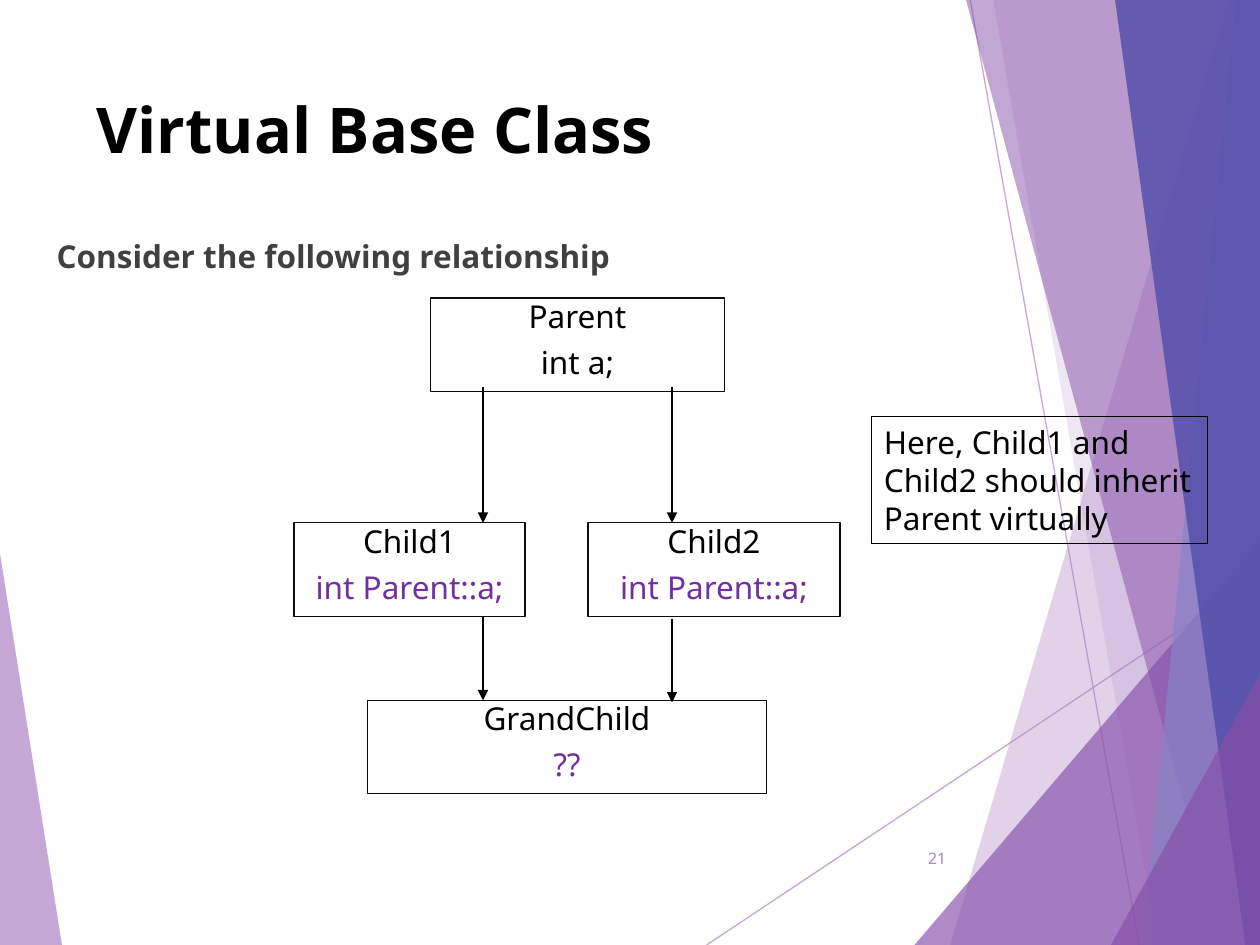
import dataclasses

import lxml.etree
import pptx
import pptx.dml.color
import pptx.enum.shapes
import pptx.enum.text
import pptx.oxml
import pptx.oxml.ns
import pptx.util

CELL = pptx.util.Inches(1) / 12
FONT = "Noto Sans"
COLORS = {
    "lilac": "AD84C6", "purple": "874EA9", "periwinkle": "8784C7", "indigo": "524EAB",
    "black": "000000", "outline": "0D0D0D", "body": "404040", "inherited": "7030A0",
}
ALIGN = pptx.enum.text.PP_ALIGN
ANCHOR = pptx.enum.text.MSO_ANCHOR

FACETS = [
    ("lilac", 70, [(0, 52.7), (5.9, 90), (0, 90)]),
    ("lilac", 36, [(117, 0), (90.5, 90), (120, 90), (120, 0)]),
    ("lilac", 20, [(94.6, 0), (110.3, 90), (120, 90), (120, 0)]),
    ("purple", 66, [(87.1, 90), (120, 51.5), (120, 90)]),
    ("purple", 50, [(92, 0), (116.4, 90), (120, 90), (120, 0)]),
    ("periwinkle", 70, [(117.7, 0), (108.8, 90), (120, 90), (120, 0)]),
    ("indigo", 82, [(106.2, 0), (118.6, 90), (120, 90), (120, 0)]),
    ("purple", 66, [(105.8, 90), (120, 64.2), (120, 90)]),
]
RAYS = [((67.3, 90), (120, 54.9)), ((92.4, 0), (108.5, 90))]
CLASSES = [
    ((13, 0, 28), "Parent", "int a;", "black"),
    ((28, 21.4, 24), "Child2", "int Parent::a;", "inherited"),
    ((0, 21.4, 22), "Child1", "int Parent::a;", "inherited"),
    ((7, 38.3, 38), "GrandChild", "??", "inherited"),
]
CLASS_ROWS = 8.9
ARROWS = [(18, 8.5, 21.4), (36, 8.5, 21.4), (18, 30.4, 38.3), (36, 30.6, 38.5)]


@dataclasses.dataclass
class Area:
    """A region whose parts are placed in grid cells from its top left corner."""
    column: float
    row: float

    def point(self, column, row):
        """Return the slide position of a cell."""
        return round((self.column + column) * CELL), round((self.row + row) * CELL)

    def frame(self, column, row, columns, rows):
        """Return left, top, width and height of a block of cells."""
        return *self.point(column, row), round(columns * CELL), round(rows * CELL)


def rgb(name):
    """Return a named colour."""
    return pptx.dml.color.RGBColor.from_string(COLORS[name])


def set_opacity(shape, percent):
    """Make every solid colour of a shape partly transparent."""
    for color in shape._element.spPr.iter(pptx.oxml.ns.qn("a:srgbClr")):
        alpha = lxml.etree.SubElement(color, pptx.oxml.ns.qn("a:alpha"))
        alpha.set("val", str(percent * 1000))


def add_span(para, text, size, color, bold=False):
    """Add one formatted run."""
    span = para.add_run()
    span.text = text
    span.font.name = FONT
    span.font.size = pptx.util.Pt(size)
    span.font.bold = bold
    span.font.color.rgb = rgb(color)


def add_line(page, start, end, color):
    """Draw a thin straight line without shadow."""
    line = page.shapes.add_connector(pptx.enum.shapes.MSO_CONNECTOR.STRAIGHT, *start, *end)
    line.line.color.rgb = rgb(color)
    line.line.width = pptx.util.Pt(0.75)
    lxml.etree.SubElement(line._element.spPr, pptx.oxml.ns.qn("a:effectLst"))
    return line


def add_box(page, frame, outline):
    """Draw an unfilled outlined rectangle and return its text frame."""
    box = page.shapes.add_shape(pptx.enum.shapes.MSO_SHAPE.RECTANGLE, *frame)
    box.shadow.inherit = False
    box.fill.background()
    box.line.color.rgb = rgb(outline)
    box.line.width = pptx.util.Pt(0.75)
    box.text_frame.word_wrap = True
    box.text_frame.auto_size = pptx.enum.text.MSO_AUTO_SIZE.SHAPE_TO_FIT_TEXT
    box.text_frame.vertical_anchor = ANCHOR.TOP
    return box.text_frame


def draw_backdrop(page, area):
    """Draw the rays and the translucent facets."""
    for start, end in RAYS:
        set_opacity(add_line(page, area.point(*start), area.point(*end), "lilac"), 70)
    for color, opacity, corners in FACETS:
        points = [area.point(*corner) for corner in corners]
        builder = page.shapes.build_freeform(*points[0])
        builder.add_line_segments(points[1:], close=True)
        facet = builder.convert_to_shape()
        facet.shadow.inherit = False
        facet.fill.solid()
        facet.fill.fore_color.rgb = rgb(color)
        facet.line.fill.background()
        set_opacity(facet, opacity)


def fill_placeholder(box, frame, text, size, color):
    """Place a template placeholder and give it one bold left-aligned line."""
    box.left, box.top, box.width, box.height = frame
    box.text_frame.vertical_anchor = ANCHOR.TOP
    box.text_frame.auto_size = pptx.enum.text.MSO_AUTO_SIZE.NONE
    para = box.text_frame.paragraphs[0]
    para.alignment = ALIGN.LEFT
    add_span(para, text, size, color, bold=True)
    return para


def write_text(page, area):
    """Write the title, the lead sentence and the page number."""
    fill_placeholder(page.shapes.title, area.frame(8, 8, 83.3, 17.3),
                     "Virtual Base Class", 36, "black")
    lead = fill_placeholder(page.placeholders[1], area.frame(4.2, 22, 83.3, 50.9),
                            "Consider the following relationship", 18, "body")
    lead.space_before = pptx.util.Pt(10)
    settings = lead._p.get_or_add_pPr()
    settings.set("marL", str(pptx.util.Inches(0.38)))
    settings.set("indent", str(-pptx.util.Inches(0.38)))
    lxml.etree.SubElement(settings, pptx.oxml.ns.qn("a:buNone"))
    number = page.shapes.add_textbox(*area.frame(84.6, 79.3, 6.7, 4.8)).text_frame
    number.word_wrap = True
    number.vertical_anchor = ANCHOR.MIDDLE
    number.paragraphs[0].alignment = ALIGN.RIGHT
    add_span(number.paragraphs[0], "21", 9, "lilac")


def draw_hierarchy(page, area):
    """Draw the class boxes and the inheritance arrows."""
    for (column, row, columns), name, member, color in CLASSES:
        frame = add_box(page, area.frame(column, row, columns, CLASS_ROWS), "outline")
        paras = [frame.paragraphs[0], frame.add_paragraph()]
        for para, text, ink in zip(paras, (name, member), ("black", color)):
            para.alignment = ALIGN.CENTER
            para.line_spacing = 0.8
            para.space_before = pptx.util.Pt(9)
            add_span(para, text, 18, ink)
    for column, top, bottom in ARROWS:
        arrow = add_line(page, area.point(column, top), area.point(column, bottom), "black")
        head = lxml.etree.SubElement(arrow.line._get_or_add_ln(), pptx.oxml.ns.qn("a:tailEnd"))
        head.set("type", "triangle")


def draw_note(page, area):
    """Draw the remark beside the hierarchy."""
    para = add_box(page, area.frame(0, 0, 32, 12.1), "black").paragraphs[0]
    para.alignment = ALIGN.LEFT
    para.space_before = pptx.util.Pt(9)
    add_span(para, "Here, Child1 and Child2 should inherit Parent virtually", 18, "black")


def main():
    """Build and save the deck."""
    deck = pptx.Presentation()
    deck.slide_width, deck.slide_height = pptx.util.Inches(10), pptx.util.Inches(7.5)
    page = deck.slides.add_slide(deck.slide_layouts[1])
    whole = Area(0, 0)
    draw_backdrop(page, whole)
    write_text(page, whole)
    draw_hierarchy(page, Area(28, 28.4))
    draw_note(page, Area(83, 39.7))
    deck.save("out.pptx")


main()
